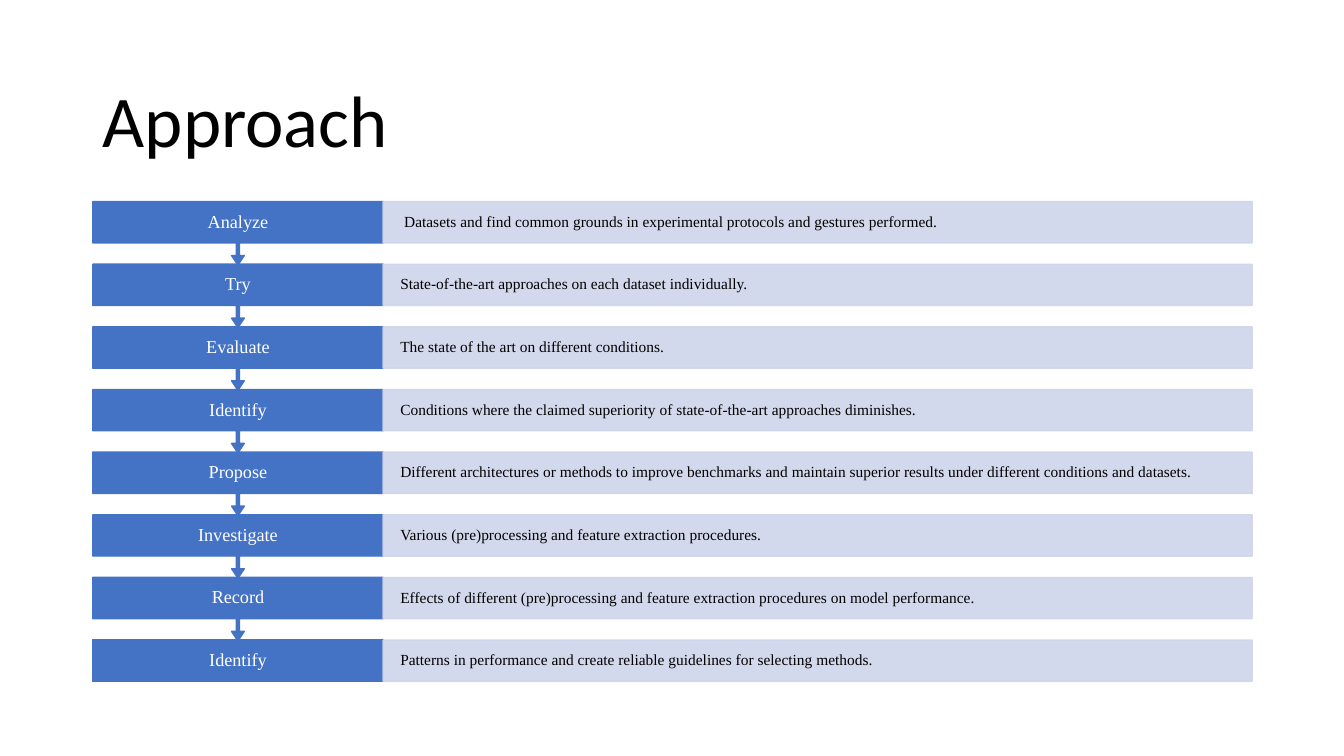
import pptx
import pptx.util
import pptx.dml.color
import pptx.enum.shapes
import pptx.enum.text
import pptx.oxml
import pptx.oxml.ns
from dataclasses import dataclass

TITLE = "Approach"
STEPS = [
    ("Analyze", " Datasets and find common grounds in experimental protocols and gestures performed."),
    ("Try", "State-of-the-art approaches on each dataset individually."),
    ("Evaluate", "The state of the art on different conditions."),
    ("Identify", "Conditions where the claimed superiority of state-of-the-art approaches diminishes."),
    ("Propose", "Different architectures or methods to improve benchmarks and maintain superior results "
                "under different conditions and datasets."),
    ("Investigate", "Various (pre)processing and feature extraction procedures."),
    ("Record", "Effects of different (pre)processing and feature extraction procedures on model performance."),
    ("Identify", "Patterns in performance and create reliable guidelines for selecting methods."),
]


@dataclass(frozen=True)
class Theme:
    step_fill: str = "4472C4"
    detail_fill: str = "CFD5EA"
    light: str = "FFFFFF"
    dark: str = "000000"
    title_font: str = "Calibri"
    body_font: str = "Times New Roman"
    title_size: int = 52
    step_size: int = 13
    detail_size: int = 11
    detail_opacity: int = 90


THEME = Theme()
Inches = pptx.util.Inches
SHAPES = pptx.enum.shapes.MSO_SHAPE
ALIGN = pptx.enum.text.PP_ALIGN

LEFT, STEP_WIDTH, DETAIL_WIDTH = 0.92, 2.88, 8.62
FIRST_TOP, LAST_TOP = 2, 6.35
BOX_HEIGHT, CALLOUT_HEIGHT = 0.41, 0.63
PITCH = (LAST_TOP - FIRST_TOP) / (len(STEPS) - 1)
CALLOUT_ADJUSTMENTS = (0.05, 0.1, 0.15, 0.65)


def color(value):
    return pptx.dml.color.RGBColor.from_string(value)


def write_text(shape, text, *, font, size, fill, align=ALIGN.LEFT, side=0.1):
    frame = shape.text_frame
    frame.word_wrap = True
    frame.auto_size = pptx.enum.text.MSO_AUTO_SIZE.NONE
    frame.vertical_anchor = pptx.enum.text.MSO_ANCHOR.MIDDLE
    frame.margin_left = frame.margin_right = Inches(side)
    frame.margin_top = frame.margin_bottom = Inches(0.05)
    paragraph = frame.paragraphs[0]
    paragraph.alignment = align
    paragraph.line_spacing = 0.9
    run = paragraph.add_run()
    run.text = text
    run.font.name = font
    run.font.size = pptx.util.Pt(size)
    run.font.color.rgb = color(fill)


def add_box(slide, kind, left, top, width, height, fill, opacity=100):
    shape = slide.shapes.add_shape(kind, Inches(left), Inches(top), Inches(width), Inches(height))
    shape.shadow.inherit = False
    shape.fill.solid()
    shape.fill.fore_color.rgb = color(fill)
    shape.line.color.rgb = color(fill)
    shape.line.width = pptx.util.Pt(1)
    if opacity < 100:
        properties = shape.fill._xPr
        for element in properties.iter(pptx.oxml.ns.qn("a:srgbClr")):
            alpha = pptx.oxml.parse_xml(
                f'<a:alpha {pptx.oxml.ns.nsdecls("a")} val="{opacity * 1000}"/>')
            element.append(alpha)
    return shape


def add_step(slide, index, name, detail):
    top = FIRST_TOP + index * PITCH
    is_last = index == len(STEPS) - 1
    kind = SHAPES.RECTANGLE if is_last else SHAPES.DOWN_ARROW_CALLOUT
    height = BOX_HEIGHT if is_last else CALLOUT_HEIGHT
    step = add_box(slide, kind, LEFT, top, STEP_WIDTH, height, THEME.step_fill)
    if not is_last:
        for position, value in enumerate(CALLOUT_ADJUSTMENTS):
            step.adjustments[position] = value
    write_text(step, name, font=THEME.body_font, size=THEME.step_size,
               fill=THEME.light, align=ALIGN.CENTER, side=0.2)
    box = add_box(slide, SHAPES.RECTANGLE, LEFT + STEP_WIDTH, top, DETAIL_WIDTH, BOX_HEIGHT,
                  THEME.detail_fill, THEME.detail_opacity)
    write_text(box, detail, font=THEME.body_font, size=THEME.detail_size,
               fill=THEME.dark, side=0.17)


def main():
    presentation = pptx.Presentation()
    presentation.slide_width = Inches(13.33)
    presentation.slide_height = Inches(7.5)
    slide = presentation.slides.add_slide(presentation.slide_layouts[5])
    title = slide.shapes.title
    title.left, title.top = Inches(LEFT), Inches(0.61)
    title.width, title.height = Inches(11.5), Inches(1.24)
    write_text(title, TITLE, font=THEME.title_font, size=THEME.title_size, fill=THEME.dark)
    for index, (name, detail) in reversed(list(enumerate(STEPS))):
        add_step(slide, index, name, detail)
    presentation.save("out.pptx")


if __name__ == "__main__":
    main()
